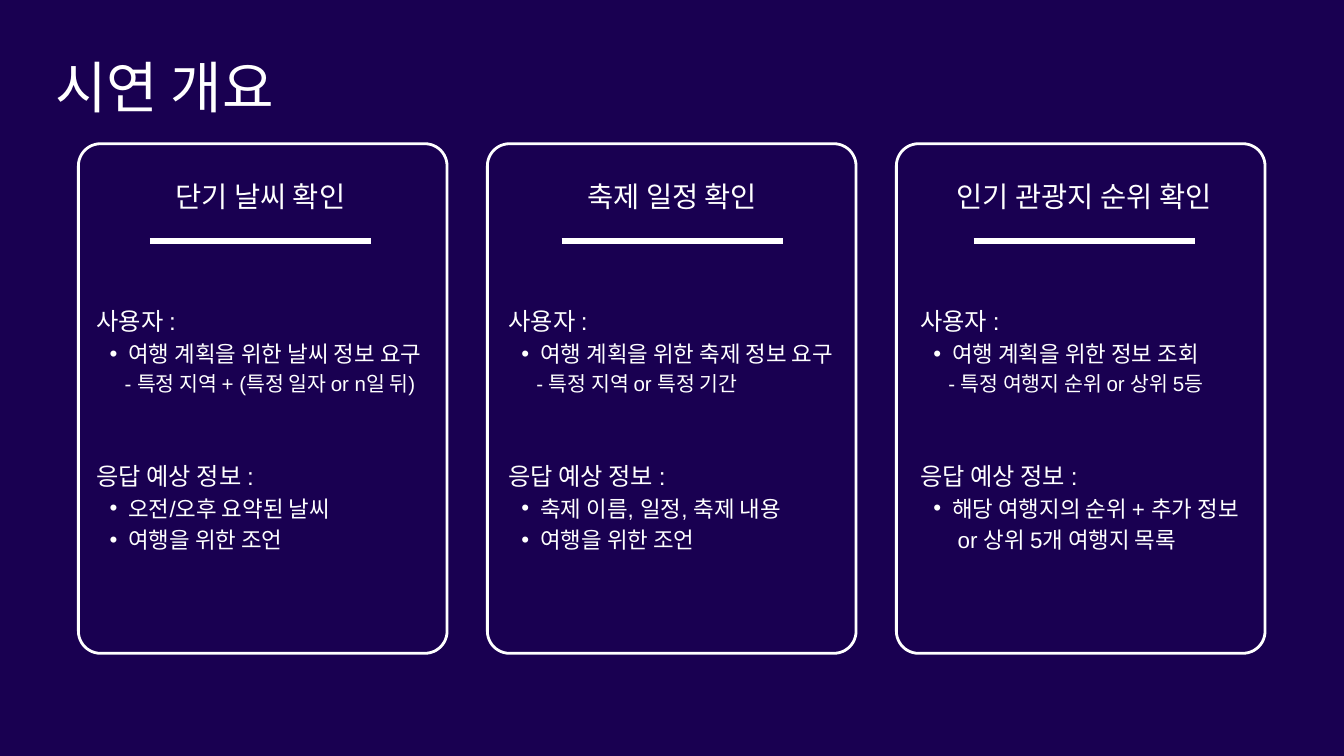
from lxml.etree import SubElement
from pptx import Presentation
from pptx.dml.color import RGBColor
from pptx.enum.shapes import MSO_CONNECTOR as Connector, MSO_SHAPE as Shape
from pptx.enum.text import MSO_ANCHOR as Anchor, MSO_AUTO_SIZE as AutoSize, PP_ALIGN as Align
from pptx.oxml.ns import qn
from pptx.util import Pt

NAVY = RGBColor(0x19, 0x00, 0x51)
WHITE = RGBColor(0xFF, 0xFF, 0xFF)

CARD_LEFT, CARD_PITCH = 84, 438.2
TEXT_LEFT, TEXT_PITCH = 96.5, 441.3

CARDS = [
    ("단기 날씨 확인",
     [("bullet", "여행 계획을 위한 날씨 정보 요구"),
      ("detail", "- 특정 지역 + (특정 일자 or n일 뒤)")],
     [("bullet", "오전/오후 요약된 날씨"), ("bullet", "여행을 위한 조언")]),
    ("축제 일정 확인",
     [("bullet", "여행 계획을 위한 축제 정보 요구"),
      ("detail", "- 특정 지역 or 특정 기간")],
     [("bullet", "축제 이름, 일정, 축제 내용"), ("bullet", "여행을 위한 조언")]),
    ("인기 관광지 순위 확인",
     [("bullet", "여행 계획을 위한 정보 조회"),
      ("detail", "- 특정 여행지 순위 or 상위 5등")],
     [("bullet", "해당 여행지의 순위 + 추가 정보"),
      ("continued", "or 상위 5개 여행지 목록")]),
]


class SlideBuilder:
    font_name = "Arial"
    color = WHITE
    styles = {
        "title": dict(size=60, spacing=88.8),
        "card title": dict(size=30.5, spacing=42.8, align=Align.CENTER),
        "label": dict(size=26, spacing=36.4, indent=7),
        "bullet": dict(size=24, spacing=33.6, margin=41, indent=-20, bullet="•"),
        "detail": dict(size=22, spacing=30.8, indent=37, align=Align.JUSTIFY),
        "continued": dict(size=24, spacing=33.6, indent=47),
    }

    def __init__(self, slide):
        self.slide = slide
        slide.background.fill.solid()
        slide.background.fill.fore_color.rgb = NAVY

    def format_paragraph(self, paragraph, text, size, spacing, margin=0, indent=0,
                         align=Align.LEFT, bullet=None):
        paragraph.text = text
        paragraph.alignment = align
        paragraph.line_spacing = Pt(spacing)
        paragraph.space_before = Pt(0)
        properties = paragraph._p.get_or_add_pPr()
        properties.set("marL", str(Pt(margin)))
        properties.set("indent", str(Pt(indent)))
        if bullet:
            paragraph.level = 1
            SubElement(properties, qn("a:buFont"), typeface=self.font_name)
            SubElement(properties, qn("a:buChar"), char=bullet)
        paragraph.font.name = self.font_name
        paragraph.font.size = Pt(size)
        paragraph.font.color.rgb = self.color

    def fill_text(self, shape, lines):
        frame = shape.text_frame
        frame.word_wrap = True
        frame.auto_size = AutoSize.NONE
        frame.vertical_anchor = Anchor.TOP
        frame.margin_left = frame.margin_right = Pt(0)
        frame.margin_top = frame.margin_bottom = Pt(0)
        for index, (style, text) in enumerate(lines):
            paragraph = frame.add_paragraph() if index else frame.paragraphs[0]
            self.format_paragraph(paragraph, text, **self.styles[style])

    def title(self, text, left, top, width, height):
        shape = self.slide.shapes.title
        shape.left, shape.top = Pt(left), Pt(top)
        shape.width, shape.height = Pt(width), Pt(height)
        self.fill_text(shape, [("title", text)])

    def text(self, lines, left, top, width, height):
        shape = self.slide.shapes.add_textbox(Pt(left), Pt(top), Pt(width), Pt(height))
        self.fill_text(shape, lines)

    def outline(self, left, top, width, height):
        shape = self.slide.shapes.add_shape(
            Shape.ROUNDED_RECTANGLE, Pt(left), Pt(top), Pt(width), Pt(height))
        shape.adjustments[0] = 0.06
        shape.shadow.inherit = False
        shape.fill.background()
        shape.line.color.rgb = self.color
        shape.line.width = Pt(3)

    def rule(self, left, top, width):
        line = self.slide.shapes.add_connector(
            Connector.STRAIGHT, Pt(left), Pt(top), Pt(left + width), Pt(top))
        line.line.color.rgb = self.color
        line.line.width = Pt(6)
        SubElement(line._element.spPr, qn("a:effectLst"))


def main():
    presentation = Presentation()
    presentation.slide_width, presentation.slide_height = Pt(1440), Pt(810)
    builder = SlideBuilder(presentation.slides.add_slide(presentation.slide_layouts[5]))

    builder.title("시연 개요", 59, 39, 1287, 86)
    for index, (heading, request, response) in enumerate(CARDS):
        builder.outline(CARD_LEFT + index * CARD_PITCH, 154, 395, 546)
        left = TEXT_LEFT + index * TEXT_PITCH
        builder.text([("card title", heading)], left + 28, 186, 309, 42)
        builder.rule(left + 64, 258.5, 237)
        builder.text([("label", "사용자 :")] + request, left, 323, 365, 100)
        builder.text([("label", "응답 예상 정보 :")] + response, left, 489, 365, 102)

    presentation.save("out.pptx")


if __name__ == "__main__":
    main()
